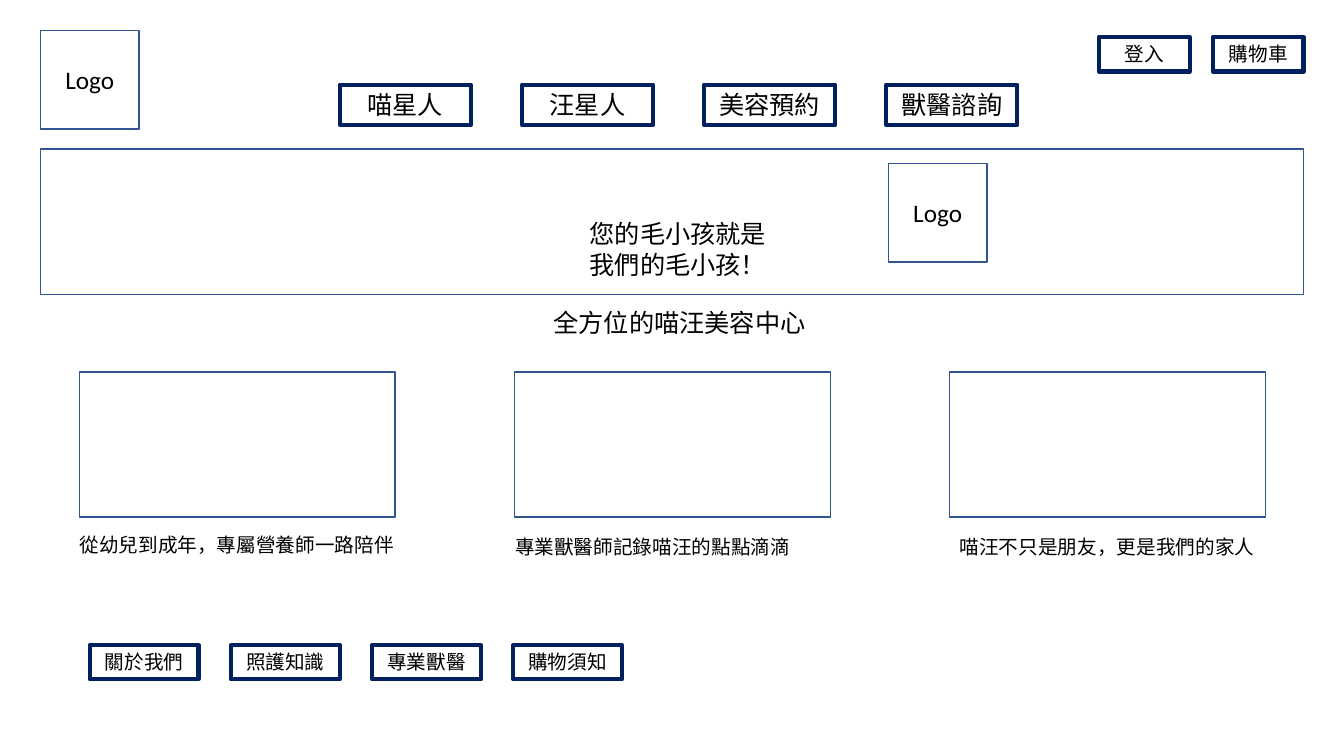
from lxml import etree
from pptx import Presentation
from pptx.dml.color import RGBColor
from pptx.enum.shapes import MSO_SHAPE
from pptx.enum.text import MSO_ANCHOR, MSO_AUTO_SIZE, PP_ALIGN
from pptx.oxml.ns import qn
from pptx.util import Inches, Pt

COLORS = {"navy": "002060", "blue": "325491", "black": "000000"}
CJK = "Noto Sans CJK SC"

prs = Presentation()
prs.slide_width, prs.slide_height = Inches(13.33), Inches(7.5)
s = prs.slides.add_slide(prs.slide_layouts[6])


def add_text(text, box, size=18, font=CJK, align=PP_ALIGN.CENTER,
             anchor=MSO_ANCHOR.TOP, grow=True, sp=None):
    sp = sp or s.shapes.add_textbox(*map(Inches, box))
    tf = sp.text_frame
    tf.word_wrap = True
    tf.vertical_anchor = anchor
    tf.auto_size = MSO_AUTO_SIZE.SHAPE_TO_FIT_TEXT if grow else MSO_AUTO_SIZE.NONE
    p = tf.paragraphs[0]
    p.alignment = align
    r = p.add_run()
    r.text = text
    r.font.size = Pt(size)
    r.font.name = font
    r.font.color.rgb = RGBColor.from_string(COLORS["black"])
    etree.SubElement(r.font._element, qn("a:ea"), typeface=font)


def add_box(box, color="blue", weight=1):
    sp = s.shapes.add_shape(MSO_SHAPE.RECTANGLE, *map(Inches, box))
    sp.shadow.inherit = False
    sp.fill.background()
    sp.line.color.rgb = RGBColor.from_string(COLORS[color])
    sp.line.width = Pt(weight)
    return sp


button_rows = [
    (["喵星人", "汪星人", "美容預約", "獸醫諮詢"], 3.37, 0.84, 1.3, 0.4, 1.807, 18),
    (["登入", "購物車"], 10.9, 0.37, 0.9, 0.34, 1.13, 14),
    (["關於我們", "照護知識", "專業獸醫", "購物須知"], 0.89, 6.4, 1.08, 0.34, 1.4, 14),
]
for labels, left, top, width, height, step, size in button_rows:
    for i, label in enumerate(labels):
        box = (left + i * step, top, width, height)
        add_text(label, box, size=size, sp=add_box(box, "navy", 3))

add_box((0.4, 1.48, 12.53, 1.44))
for left, top in [(0.4, 0.3), (8.81, 1.62)]:
    box = (left, top, 0.98, 0.98)
    add_text("Logo", box, font="Calibri", anchor=MSO_ANCHOR.MIDDLE,
             grow=False, sp=add_box(box))

add_text("您的毛小孩就是我們的毛小孩！", (5.75, 2.12, 1.97, 0.71), align=PP_ALIGN.LEFT)
add_text("全方位的喵汪美容中心", (4.45, 3, 4.58, 0.4))

captions = [
    ("從幼兒到成年，專屬營養師一路陪伴", 0.69, 5.24),
    ("專業獸醫師記錄喵汪的點點滴滴", 5.01, 5.26),
    ("喵汪不只是朋友，更是我們的家人", 9.42, 5.26),
]
for i, (caption, left, top) in enumerate(captions):
    add_box((0.79 + i * 4.315, 3.69, 3.13, 1.44))
    add_text(caption, (left, top, 3.32, 0.34), size=14, align=PP_ALIGN.LEFT)

prs.save("out.pptx")
